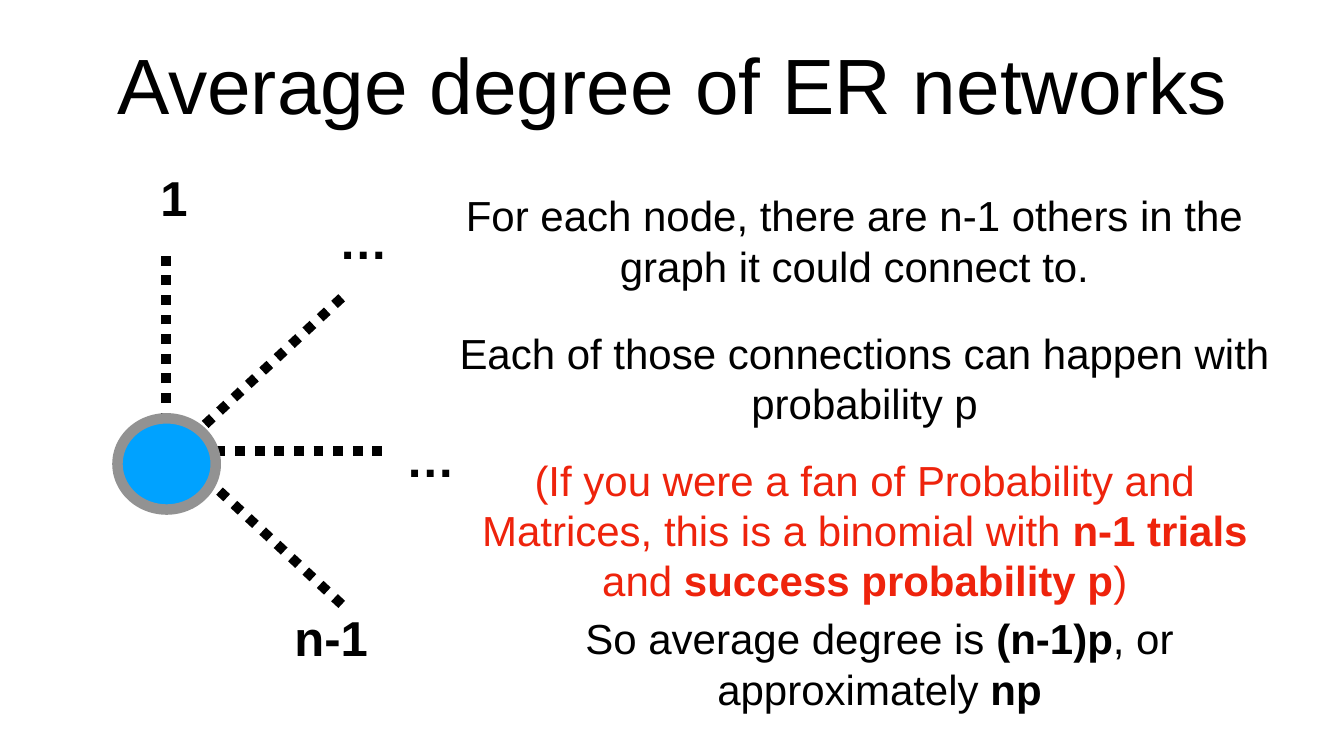
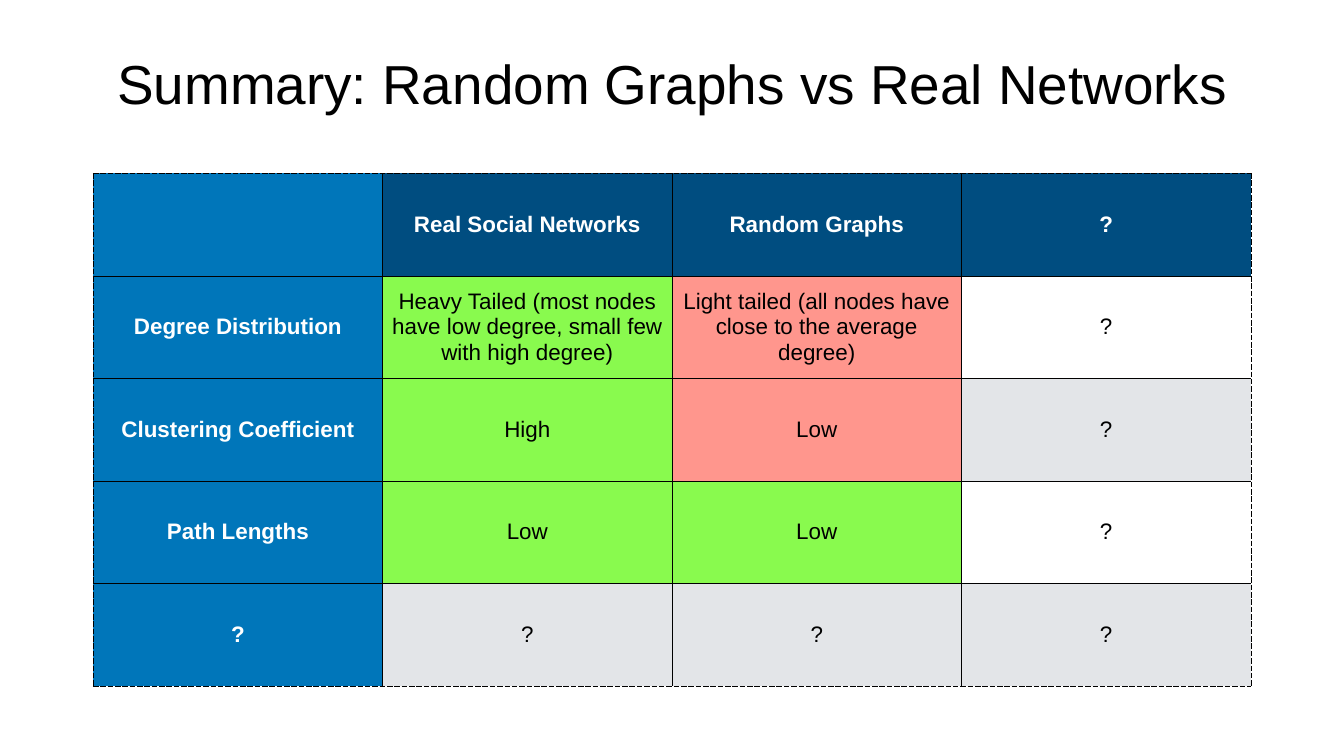
import pptx
import pptx.dml.color
import pptx.enum.dml
import pptx.enum.shapes
import pptx.enum.text
import pptx.oxml
import pptx.oxml.ns
import pptx.util
from lxml import etree

Pt = pptx.util.Pt
RGB = pptx.dml.color.RGBColor
ANCHOR_MIDDLE = pptx.enum.text.MSO_ANCHOR.MIDDLE

BLACK = RGB(0x00, 0x00, 0x00)
WHITE = RGB(0xFF, 0xFF, 0xFF)
RED = RGB(0xEE, 0x23, 0x0C)
NODE_BLUE = RGB(0x00, 0xA2, 0xFF)
NODE_RIM = RGB(0x92, 0x92, 0x92)
HEADER_BLUE = RGB(0x00, 0x4D, 0x80)
LABEL_BLUE = RGB(0x00, 0x76, 0xBA)
GREEN = RGB(0x89, 0xFA, 0x4E)
PINK = RGB(0xFF, 0x96, 0x8D)
GREY = RGB(0xE3, 0xE5, 0xE8)

FONT = "Arial"
INSET = Pt(4)
BODY_SIZE, LABEL_SIZE, TABLE_SIZE = 60, 70, 32


class Deck:
    """Holds the shared style and the slide being filled."""

    def __init__(self):
        self.prs = pptx.Presentation()
        self.prs.slide_width, self.prs.slide_height = Pt(1920), Pt(1080)
        self.slide = None

    def new_slide(self, title, size):
        self.slide = self.prs.slides.add_slide(self.prs.slide_layouts[6])
        self.text((133.2, 28.1, 1653.8, 180), [(title, False)], size, grow=False)

    def add_runs(self, paragraph, runs, size, color):
        paragraph.alignment = pptx.enum.text.PP_ALIGN.CENTER
        for words, bold in runs:
            run = paragraph.add_run()
            run.text = words
            run.font.name, run.font.size, run.font.bold = FONT, Pt(size), bold
            run.font.color.rgb = color

    def text(self, box, runs, size, color=BLACK, wrap=True, grow=True):
        frame = self.slide.shapes.add_textbox(*map(Pt, box)).text_frame
        frame.word_wrap = wrap
        if grow:
            frame.auto_size = pptx.enum.text.MSO_AUTO_SIZE.SHAPE_TO_FIT_TEXT
        frame.vertical_anchor = ANCHOR_MIDDLE
        frame.margin_left = frame.margin_right = INSET
        frame.margin_top = frame.margin_bottom = INSET
        self.add_runs(frame.paragraphs[0], runs, size, color)

    def dotted_line(self, start, end):
        edge = self.slide.shapes.add_connector(
            pptx.enum.shapes.MSO_CONNECTOR.STRAIGHT, *map(Pt, start + end))
        edge.line.color.rgb = BLACK
        edge.line.width = Pt(14)
        edge.line.dash_style = pptx.enum.dml.MSO_LINE.ROUND_DOT
        properties = edge._element.spPr
        etree.SubElement(properties, pptx.oxml.ns.qn("a:effectLst"))

    def node(self, box):
        node = self.slide.shapes.add_shape(
            pptx.enum.shapes.MSO_SHAPE.OVAL, *map(Pt, box))
        node.shadow.inherit = False
        node.fill.solid()
        node.fill.fore_color.rgb = NODE_BLUE
        node.line.color.rgb = NODE_RIM
        node.line.width = Pt(15)

    def borders(self, cell, dashes):
        """Draw the four cell sides; dashes maps a side to its dash name."""
        properties = cell._tc.get_or_add_tcPr()
        for place, side in enumerate("LRTB"):
            properties.insert(place, pptx.oxml.parse_xml(
                f'<a:ln{side} {pptx.oxml.ns.nsdecls("a")} w="12700">'
                f'<a:solidFill><a:srgbClr val="{BLACK}"/></a:solidFill>'
                f'<a:prstDash val="{dashes[side]}"/></a:ln{side}>'))

    def table(self, box, rows):
        """Build a table from rows of (words, fill); blue cells are headings."""
        last_row, last_col = len(rows) - 1, len(rows[0]) - 1
        table = self.slide.shapes.add_table(
            last_row + 1, last_col + 1, *map(Pt, box)).table
        for r, row in enumerate(rows):
            for c, (words, fill) in enumerate(row):
                cell = table.cell(r, c)
                cell.fill.solid()
                cell.fill.fore_color.rgb = fill
                cell.vertical_anchor = ANCHOR_MIDDLE
                cell.margin_left = cell.margin_right = INSET
                cell.margin_top = cell.margin_bottom = INSET
                outer = {"L": c == 0, "R": c == last_col,
                         "T": r == 0, "B": r == last_row}
                self.borders(cell, {side: "sysDash" if edge else "solid"
                                    for side, edge in outer.items()})
                if words:
                    heading = fill in (HEADER_BLUE, LABEL_BLUE)
                    self.add_runs(cell.text_frame.paragraphs[0], [(words, heading)],
                                  TABLE_SIZE, WHITE if heading else BLACK)


def average_degree(deck):
    deck.new_slide("Average degree of ER networks", 112)

    # Node with its possible connections
    centre = (252, 644.4)
    for neighbour in [(490.3, 865.4), (547.9, 644.4), (490.3, 423.4)]:
        deck.dotted_line(centre, neighbour)
    deck.dotted_line((237.6, 631.4), (237.6, 353.5))
    deck.node((167.8, 597.6, 140.4, 130.3))

    # Argument
    deck.text((623.5, 267.8, 1194.5, 150.5), [
        ("For each node, there are n-1 others in the graph it could connect to.",
         False)], BODY_SIZE)
    deck.text((637.9, 464.4, 1194.5, 150.5), [
        ("Each of those connections can happen with probability p", False)],
        BODY_SIZE)
    deck.text((642.2, 643.7, 1186.6, 226.1), [
        ("(If you were a fan of Probability and Matrices, "
         "this is a binomial with ", False),
        ("n-1 trials", True), (" and ", False),
        ("success probability p", True), (")", False)], BODY_SIZE, RED)
    deck.text((666.7, 870.5, 1179.4, 154.1), [
        ("So average degree is ", False), ("(n-1)p", True),
        (", or approximately ", False), ("np", True)], BODY_SIZE)

    # Neighbour labels
    for label, left, top, width in [("1", 224.6, 235.4, 48.2),
                                    ("n-1", 414, 864.7, 118.1),
                                    ("…", 479.5, 297.4, 79.2),
                                    ("…", 575.3, 609.1, 79.2)]:
        deck.text((left, top, width, 90.7), [(label, True)], LABEL_SIZE, wrap=False)


def summary(deck):
    deck.new_slide("Summary: Random Graphs vs Real Networks", 78.4)
    deck.table((133.2, 247.7, 1653.8, 732.2), [
        [("", LABEL_BLUE), ("Real Social Networks", HEADER_BLUE),
         ("Random Graphs", HEADER_BLUE), ("?", HEADER_BLUE)],
        [("Degree Distribution", LABEL_BLUE),
         ("Heavy Tailed (most nodes have low degree, small few with high degree)",
          GREEN),
         ("Light tailed (all nodes have close to the average degree)", PINK),
         ("?", WHITE)],
        [("Clustering Coefficient", LABEL_BLUE), ("High", GREEN),
         ("Low", PINK), ("?", GREY)],
        [("Path Lengths", LABEL_BLUE), ("Low", GREEN),
         ("Low", GREEN), ("?", WHITE)],
        [("?", LABEL_BLUE), ("?", GREY), ("?", GREY), ("?", GREY)],
    ])


def main():
    deck = Deck()
    average_degree(deck)
    summary(deck)
    deck.prs.save("out.pptx")


if __name__ == "__main__":
    main()
